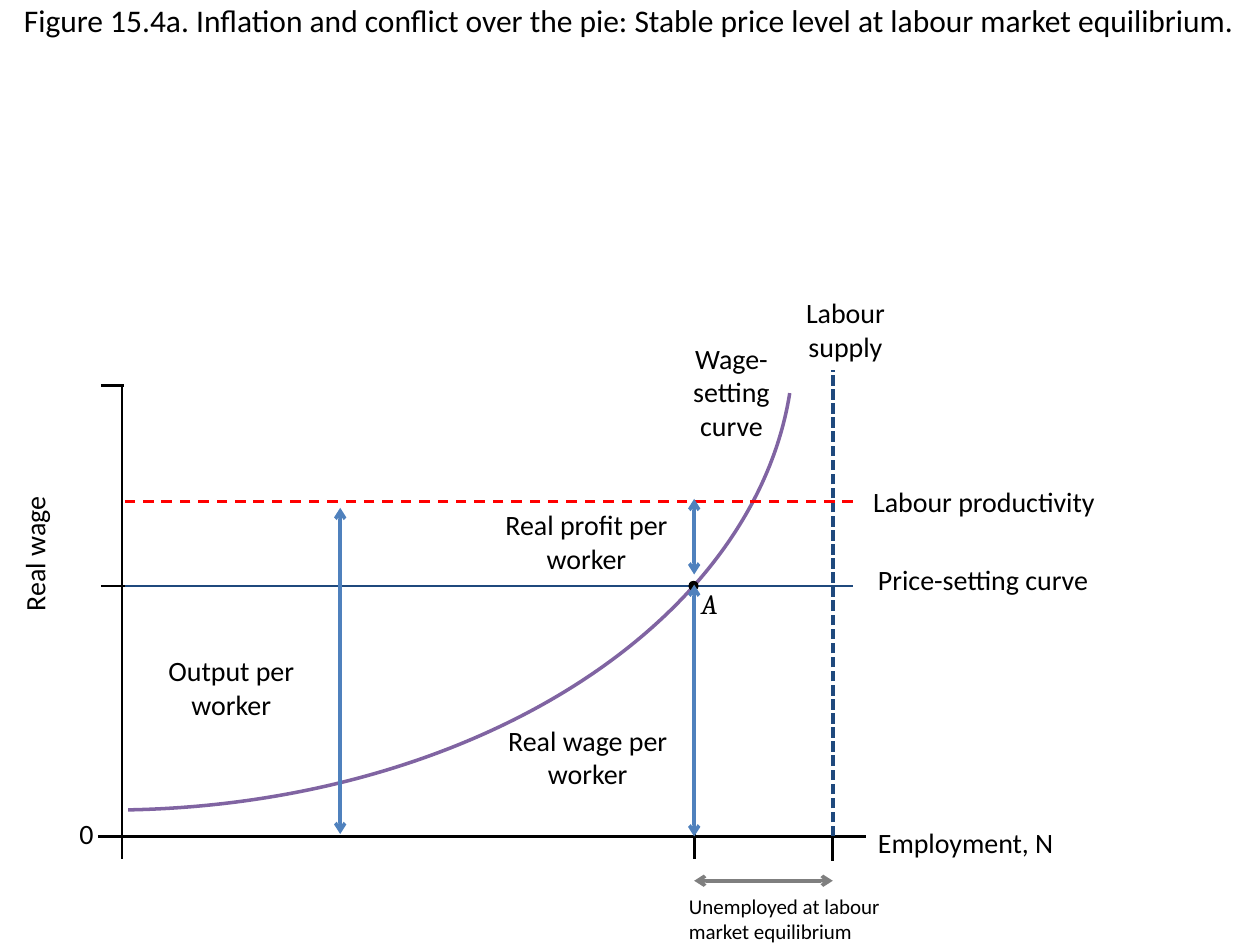
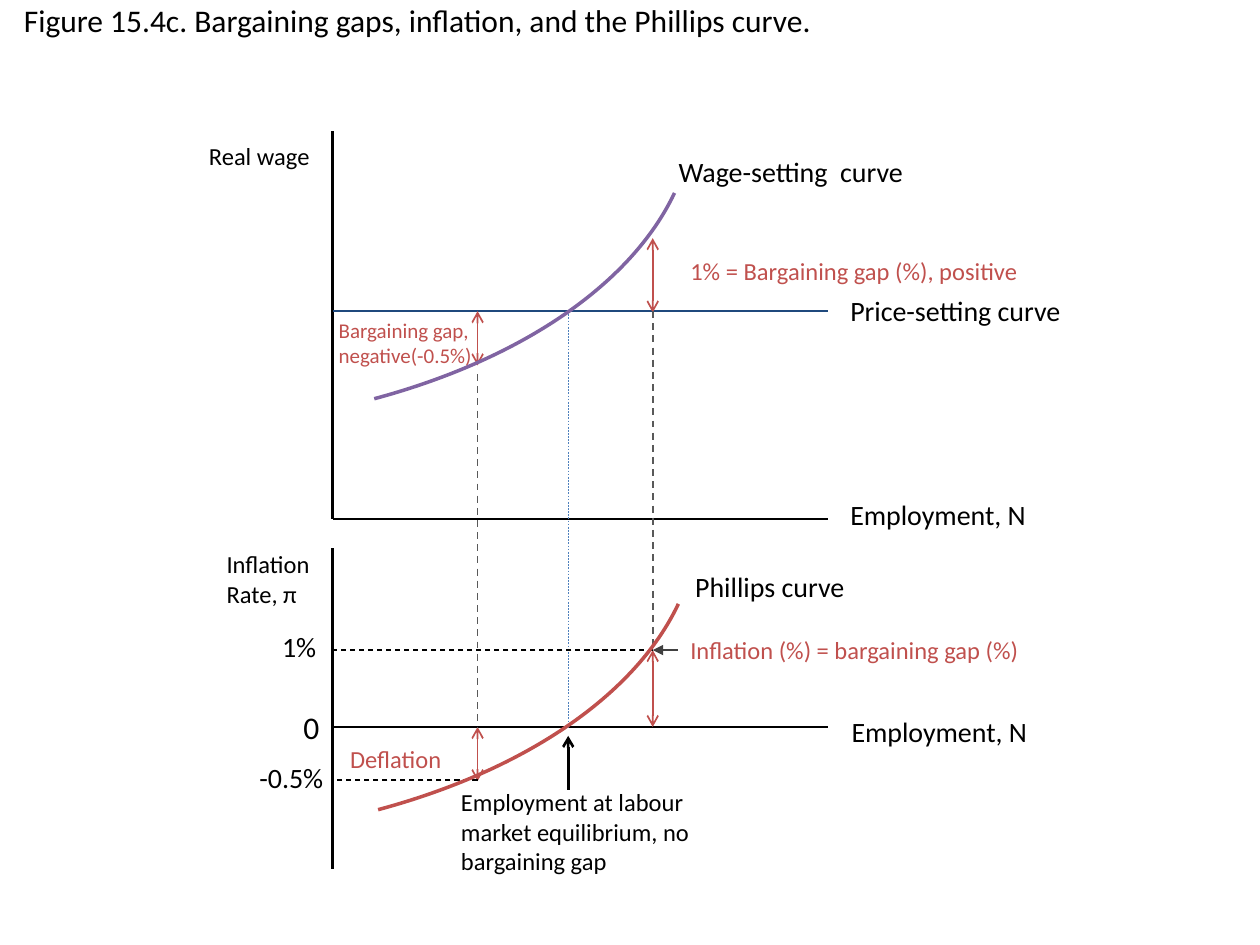
from dataclasses import dataclass
from typing import Optional, Union

from pptx import Presentation
from pptx.dml.color import RGBColor
from pptx.enum.dml import MSO_LINE
from pptx.enum.shapes import MSO_CONNECTOR, MSO_SHAPE
from pptx.enum.text import MSO_ANCHOR, MSO_AUTO_SIZE, PP_ALIGN
from pptx.oxml.ns import qn
from pptx.util import Pt
from lxml.etree import SubElement

BLACK, NAVY, BLUE, PURPLE, RED = "000000", "1F497D", "4F81BD", "8064A2", "C0504D"
BRIGHT_RED, GREY, DARK_GREY, CHARCOAL = "FF0000", "7F7F7F", "595959", "404040"
DASH, SHORT_DASH = MSO_LINE.DASH, MSO_LINE.SQUARE_DOT
LEFT, CENTER = PP_ALIGN.LEFT, PP_ALIGN.CENTER
TITLE_BOX = (6.5, -2.9, 713.5, 28.8)


@dataclass
class Line:
    x1: float
    y1: float
    x2: float
    y2: float
    color: str = BLACK
    width: float = 1.5
    dash: Optional[MSO_LINE] = None
    head: str = ""
    tail: str = ""


@dataclass
class Label:
    text: str
    x: float
    y: float
    w: float
    h: float = 26.6
    size: float = 16
    color: str = BLACK
    align: PP_ALIGN = LEFT
    wrap: bool = True
    rotation: float = 0
    font: str = "Calibri"
    italic: bool = False


@dataclass
class Curve:
    x: float
    y: float
    w: float
    h: float
    start: float
    end: float
    color: str


@dataclass
class Dot:
    x: float
    y: float
    size: float


Item = Union[Line, Label, Curve, Dot]


def rgb(value: str) -> RGBColor:
    """Turn a hex string into a colour."""
    return RGBColor.from_string(value)


def double_arrow(x1: float, y1: float, x2: float, y2: float, color: str, width: float) -> Line:
    """Describe a line with an open arrowhead at both ends."""
    return Line(x1, y1, x2, y2, color, width, head="arrow", tail="arrow")


def draw_line(s, line: Line) -> None:
    """Draw a straight connector with optional dash and arrowheads."""
    sp = s.shapes.add_connector(MSO_CONNECTOR.STRAIGHT, Pt(line.x1), Pt(line.y1), Pt(line.x2), Pt(line.y2))
    sp.line.color.rgb = rgb(line.color)
    sp.line.width = Pt(line.width)
    if line.dash is not None:
        sp.line.dash_style = line.dash
    ln = sp.line._get_or_add_ln()
    for tag, kind in (("a:headEnd", line.head), ("a:tailEnd", line.tail)):
        if kind:
            SubElement(ln, qn(tag), type=kind)
    SubElement(sp._element.spPr, qn("a:effectLst"))


def format_text(tf, size: float, color: str, align: PP_ALIGN, font: str, italic: bool = False) -> None:
    """Format every run of a text frame."""
    for p in tf.paragraphs:
        p.alignment = align
        for r in p.runs:
            r.font.size, r.font.name, r.font.italic = Pt(size), font, italic
            r.font.color.rgb = rgb(color)


def draw_label(s, label: Label) -> None:
    """Draw a text box."""
    sp = s.shapes.add_textbox(Pt(label.x), Pt(label.y), Pt(label.w), Pt(label.h))
    sp.rotation = label.rotation
    tf = sp.text_frame
    tf.text = label.text
    tf.word_wrap = label.wrap
    tf.auto_size = MSO_AUTO_SIZE.SHAPE_TO_FIT_TEXT
    format_text(tf, label.size, label.color, label.align, label.font, label.italic)


def draw_curve(s, curve: Curve) -> None:
    """Draw part of an ellipse as an open arc."""
    sp = s.shapes.add_shape(MSO_SHAPE.ARC, Pt(curve.x), Pt(curve.y), Pt(curve.w), Pt(curve.h))
    sp.adjustments[0], sp.adjustments[1] = curve.start, curve.end
    sp.shadow.inherit = False
    sp.fill.background()
    sp.line.color.rgb = rgb(curve.color)
    sp.line.width = Pt(2)


def draw_dot(s, dot: Dot) -> None:
    """Draw a filled black point."""
    sp = s.shapes.add_shape(MSO_SHAPE.OVAL, Pt(dot.x), Pt(dot.y), Pt(dot.size), Pt(dot.size))
    sp.shadow.inherit = False
    sp.fill.solid()
    sp.fill.fore_color.rgb = rgb(BLACK)
    sp.line.fill.background()


DRAW = {Line: draw_line, Label: draw_label, Curve: draw_curve, Dot: draw_dot}


def add_figure(prs, title: str, items: list[Item]) -> None:
    """Add a titled slide and draw its items from back to front."""
    s = prs.slides.add_slide(prs.slide_layouts[5])
    sp = s.shapes.title
    sp.left, sp.top, sp.width, sp.height = map(Pt, TITLE_BOX)
    tf = sp.text_frame
    tf.text = title
    tf.word_wrap = True
    tf.auto_size = MSO_AUTO_SIZE.NONE
    tf.vertical_anchor = MSO_ANCHOR.TOP
    format_text(tf, 18, BLACK, LEFT, "Calibri")
    for item in items:
        DRAW[type(item)](s, item)


def stable_price_items() -> list[Item]:
    """List the labour market diagram."""
    axis, base, top = 69.8, 478, 220.3
    productivity, price, equilibrium, supply = 286.6, 334.8, 396.7, 475.9
    right = 487.4
    return [
        Curve(-328.3, -71.3, 781.9, 534.2, 2.544, 52.629, PURPLE),
        Line(494.6, base, 56.2, base),
        Line(axis, top, axis, 491),
        Line(57.6, top, 70.6, top),
        Label("0", 38.2, 463, 20.2),
        Label("Real wage", -121.7, 303.1, 283, align=CENTER, rotation=270),
        Line(supply, base, supply, 211.7, NAVY, 2, SHORT_DASH),
        Label("Labour\nsupply", 452.9, 165.6, 60.5, 46, align=CENTER, wrap=False),
        Label("Wage-setting\ncurve", 377.3, 191.5, 81.4, 65.5, align=CENTER),
        double_arrow(equilibrium, 503.3, supply, 503.3, GREY, 2),
        Label("Unemployed at labour market equilibrium", 386.6, 506.9, 153.4, 36, 12),
        Line(right, price, axis, price, NAVY),
        Label("Price-setting curve", 494.6, 318.2, 143.3),
        Label("A", 393.8, 331.9, 31, font="Cambria", italic=True),
        Dot(393.4, 331.9, 5.8),
        Line(57.6, price, 71.3, price),
        Line(equilibrium, 476.6, equilibrium, 491),
        Line(supply, base, supply, 491.8),
        Line(right, productivity, axis, productivity, BRIGHT_RED, dash=DASH),
        Label("Labour productivity", 475.9, 273.6, 172.8, align=CENTER),
        double_arrow(194.4, 290.2, 194.4, 476.6, BLUE, 2),
        double_arrow(equilibrium, 285.1, equilibrium, 328.3, BLUE, 2),
        double_arrow(equilibrium, 334.1, equilibrium, base, BLUE, 2),
        Label("Output per worker", 70.6, 370.1, 123.1, 46, align=CENTER),
        Label("Real profit per worker", 273.6, 286.6, 123.1, 46, align=CENTER),
        Label("Real wage per worker", 274.3, 409.7, 123.1, 46, align=CENTER),
        Label("Employment, N", 494.6, 468, 116.6, wrap=False),
    ]


def phillips_items() -> list[Item]:
    """List the bargaining gap diagram above the Phillips curve diagram."""
    axis, right = 190.1, 473
    low, equilibrium, high = 272.9, 324.7, 373
    price, wage_base, zero = 177.8, 296.6, 415.4
    inflation, deflation = 371.5, 445.7
    arc = (630.7, 365.8, 5.424, 30.832)
    return [
        Line(right, zero, axis, zero),
        Line(axis, 313.2, axis, 496.8),
        Line(right, wage_base, axis, wage_base),
        Line(axis, 74.9, axis, wage_base),
        Line(right, price, axis, price, NAVY),
        Line(equilibrium, price, equilibrium, zero, BLUE, 0.25, DASH),
        double_arrow(high, 136.1, high, 178.6, RED, 1),
        Label("1% = Bargaining gap (%), positive", 387.4, 142.6, 203.8, 24.5, 14, RED, wrap=False),
        Label("Inflation (%) = bargaining gap (%)", 387.4, 359.3, 204.5, 24.5, 14, RED, wrap=False),
        Label("0", 166.3, 401, 23.8, 28.8, 18, wrap=False),
        Label("Inflation\nRate, π", 122.4, 310.3, 62.6, 41, 14, wrap=False),
        Label("Real wage", 112.3, 77, 73.4, 24.5, 14, wrap=False),
        Label("Price-setting curve", 478.8, 164.2, 144),
        Label("Wage-setting  curve", 366.6, 85, 170.6, align=CENTER),
        Label("Bargaining gap,\nnegative(-0.5%)", 186.5, 177.8, 91.4, 36, 12, RED, wrap=False),
        Label("Deflation", 193, 421.9, 67, 24.5, 14, RED, wrap=False),
        double_arrow(low, price, low, 208.8, RED, 1),
        Label("Phillips curve", 390.2, 321.8, 100.8, wrap=False),
        Label("Employment, N", 479.5, 404.6, 116.6, wrap=False),
        Label("Employment, N", 478.8, 280.8, 116.6, wrap=False),
        Label("Employment at labour market equilibrium, no bargaining gap", 256.3, 446.4, 162, 58.3, 14),
        Line(equilibrium, 420.5, equilibrium, 451.4, head="arrow"),
        double_arrow(high, inflation, high, zero, RED, 1),
        double_arrow(low, zero, low, 446.4, RED, 1),
        Line(low, 213.8, low, zero, DARK_GREY, 1, DASH),
        Line(high, price, high, inflation, DARK_GREY, 1, DASH),
        Line(387.4, inflation, high, inflation, CHARCOAL, 1.25, tail="triangle"),
        Line(high, inflation, axis, inflation, width=0.75, dash=DASH),
        Label("1%", 154.1, 356.4, 34.6, wrap=False),
        Label("-0.5%", 141.1, 431.3, 51.8, wrap=False),
        Line(low, deflation, 192.2, deflation, width=0.75, dash=DASH),
        Curve(-234, -121, *arc, PURPLE),
        Curve(-231.8, 113.8, *arc, RED),
    ]


def main() -> None:
    """Build and save both figures."""
    prs = Presentation()
    prs.slide_width, prs.slide_height = Pt(720), Pt(540)
    add_figure(
        prs,
        "Figure 15.4a. Inflation and conflict over the pie: Stable price level at labour market equilibrium.",
        stable_price_items(),
    )
    add_figure(prs, "Figure 15.4c. Bargaining gaps, inflation, and the Phillips curve.", phillips_items())
    prs.save("out.pptx")


if __name__ == "__main__":
    main()
